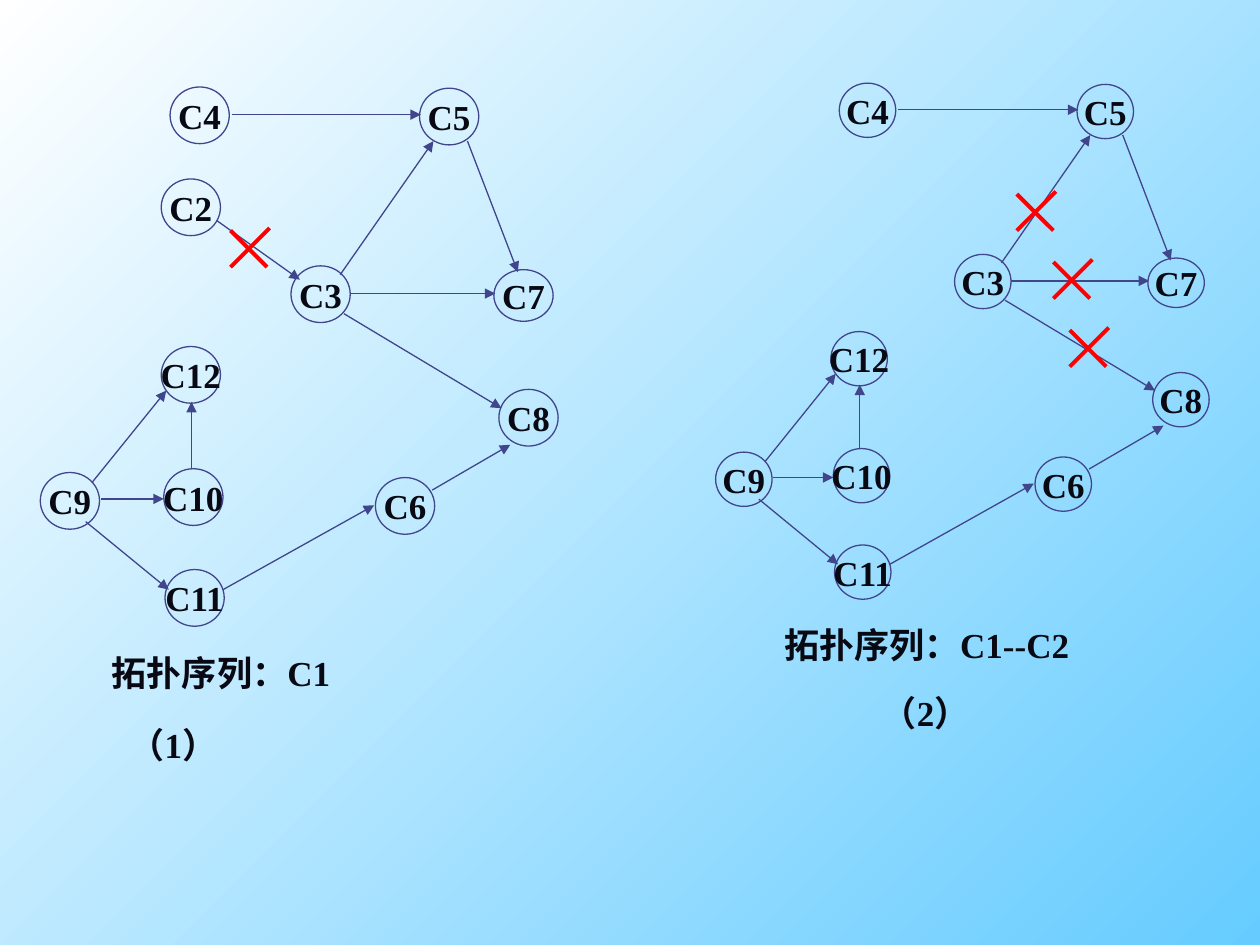
"""Build a slide with the first two steps of a topological sort of courses."""
import pptx
import pptx.dml.color
import pptx.enum.shapes
import pptx.enum.text
import pptx.oxml
import pptx.oxml.ns
import pptx.util

RGB = pptx.dml.color.RGBColor
SKY = RGB(0x66, 0xCC, 0xFF)
WHITE = RGB(0xFF, 0xFF, 0xFF)
EDGE = RGB(0x40, 0x45, 0x8C)
INK = RGB(0x08, 0x09, 0x12)
RED = RGB(0xFF, 0x00, 0x00)
qn = pptx.oxml.ns.qn

deck = pptx.Presentation()
deck.slide_width = pptx.util.Inches(10)
deck.slide_height = pptx.util.Inches(7.5)
COL = deck.slide_width / 100
ROW = deck.slide_height / 75

slide = deck.slides.add_slide(deck.slide_layouts[6])
back = slide.background.fill
back.gradient()
back.gradient_angle = 135
for stop, tint in zip(back.gradient_stops, (SKY, WHITE)):
    stop.color.rgb = tint


def write(shape, words, align):
    frame = shape.text_frame
    frame.word_wrap = False
    para = frame.paragraphs[0]
    para.alignment = align
    run = para.add_run()
    run.text = words
    run.font.name = "Times New Roman"
    run.font.size = pptx.util.Pt(20)
    run.font.bold = True
    run.font.color.rgb = INK


def link(group, ends, tint, width, arrow):
    x1, y1, x2, y2 = ends
    line = group.shapes.add_connector(
        pptx.enum.shapes.MSO_CONNECTOR.STRAIGHT,
        round(x1 * COL), round(y1 * ROW), round(x2 * COL), round(y2 * ROW))
    line.line.color.rgb = tint
    line.line.width = pptx.util.Pt(width)
    props = line._element.spPr
    if arrow:
        tail = pptx.oxml.ns.qn("a:tailEnd")
        props.find(qn("a:ln")).makeelement(tail, {})
        end = props.find(qn("a:ln")).makeelement(tail, {"type": "triangle"})
        props.find(qn("a:ln")).append(end)
    props.append(props.makeelement(qn("a:effectLst"), {}))


NODES = {
    "C2": (12.8, 14.2), "C3": (23.1, 21.1), "C4": (13.5, 6.9),
    "C5": (33.3, 7), "C6": (29.8, 37.9), "C7": (39.2, 21.4),
    "C8": (39.6, 30.9), "C9": (3.2, 37.5), "C10": (13, 37.2),
    "C11": (13.1, 45.2), "C12": (12.8, 27.5),
}
LINKS = {
    ("C2", "C3"): (17.2, 17.5, 23.8, 22.2),
    ("C4", "C5"): (18.4, 9.1, 33.4, 9.1),
    ("C3", "C5"): (27, 21.8, 34.4, 11.2),
    ("C3", "C7"): (27.8, 23.3, 39.3, 23.3),
    ("C5", "C7"): (37.1, 11.2, 41.1, 21.6),
    ("C9", "C12"): (7.3, 38.3, 13.2, 31),
    ("C9", "C10"): (8, 39.6, 13, 39.6),
    ("C10", "C12"): (15.2, 37.2, 15.2, 31.9),
    ("C9", "C11"): (6.8, 41.4, 13.4, 46.8),
    ("C11", "C6"): (17.7, 46.8, 29.7, 40.1),
    ("C6", "C8"): (34.3, 38.9, 40.5, 35.3),
    ("C3", "C8"): (27.3, 24.9, 39.8, 32.4),
}
STEPS = [
    (0, 0, 1, 1, set(),
     [("拓扑序列：C1", 7.9, 51.2, 20), ("（1）", 9.3, 56.9, 10.3)],
     [(18.3, 18.1)]),
    (53.75, 0, 0.953, 0.957, {"C2"},
     [("拓扑序列：C1--C2", 61.3, 49, 25.2), ("（2）", 69, 54.4, 10.3)],
     [(80.7, 15.2), (83.6, 20.6), (84.9, 26)]),
]

for left, top, wide, high, gone, notes, marks in STEPS:
    graph = slide.shapes.add_group_shape()
    for name, (x, y) in NODES.items():
        if name in gone:
            continue
        tall = 4.1 if name == "C7" else 4.5
        node = graph.shapes.add_shape(
            pptx.enum.shapes.MSO_SHAPE.OVAL,
            round((left + x * wide) * COL), round((top + y * high) * ROW),
            round(4.7 * wide * COL), round(tall * high * ROW))
        node.shadow.inherit = False
        node.fill.background()
        node.line.color.rgb = EDGE
        node.line.width = pptx.util.Pt(0.75)
        node.text_frame.vertical_anchor = pptx.enum.text.MSO_ANCHOR.MIDDLE
        write(node, name, pptx.enum.text.PP_ALIGN.CENTER)
    for pair, (x1, y1, x2, y2) in LINKS.items():
        if gone.isdisjoint(pair):
            ends = (left + x1 * wide, top + y1 * high,
                    left + x2 * wide, top + y2 * high)
            link(graph, ends, EDGE, 0.75, True)
    for words, x, y, width in notes:
        note = graph.shapes.add_textbox(
            round(x * COL), round(y * ROW), round(width * COL), round(4.4 * ROW))
        note.text_frame.auto_size = pptx.enum.text.MSO_AUTO_SIZE.SHAPE_TO_FIT_TEXT
        write(note, words, pptx.enum.text.PP_ALIGN.LEFT)
    cross = slide.shapes.add_group_shape()
    for x, y in marks:
        link(cross, (x, y + 0.2, x + 2.9, y + 3.1), RED, 2.25, False)
        link(cross, (x + 3.1, y, x, y + 3.1), RED, 2.25, False)

deck.save("out.pptx")
